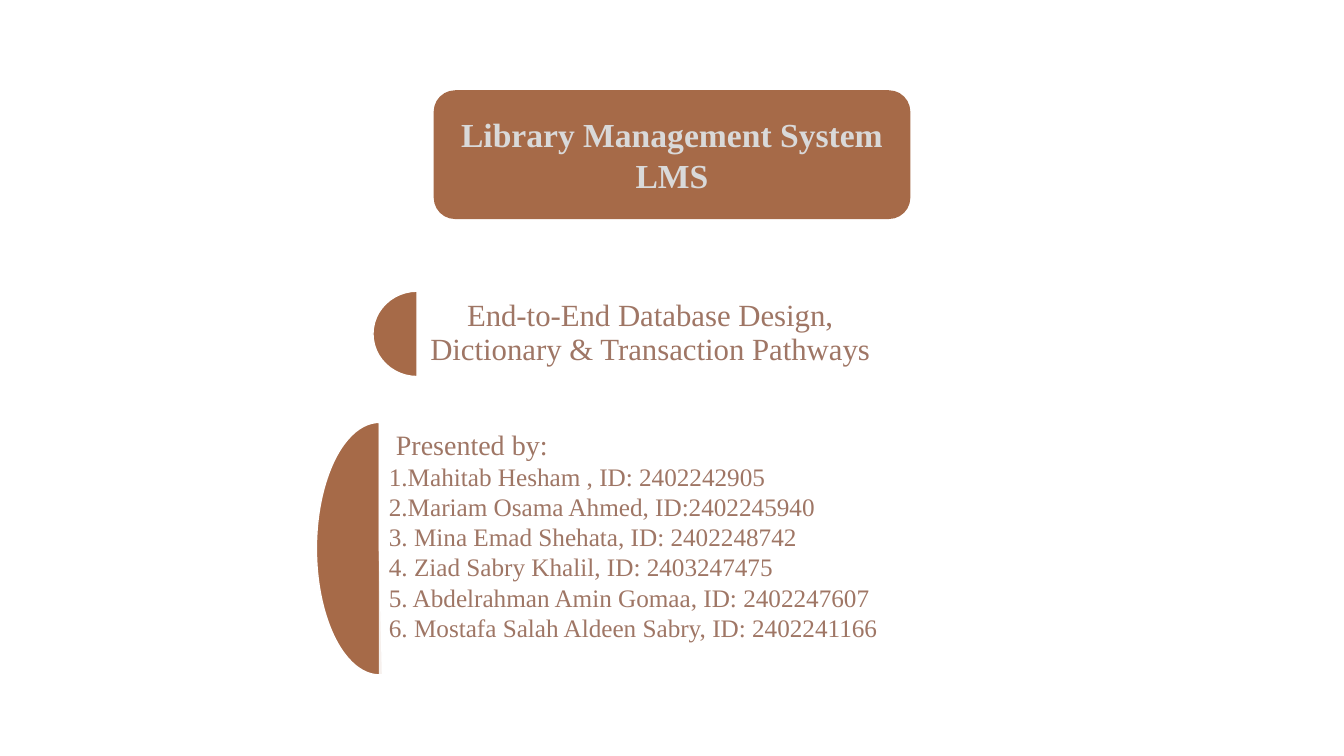
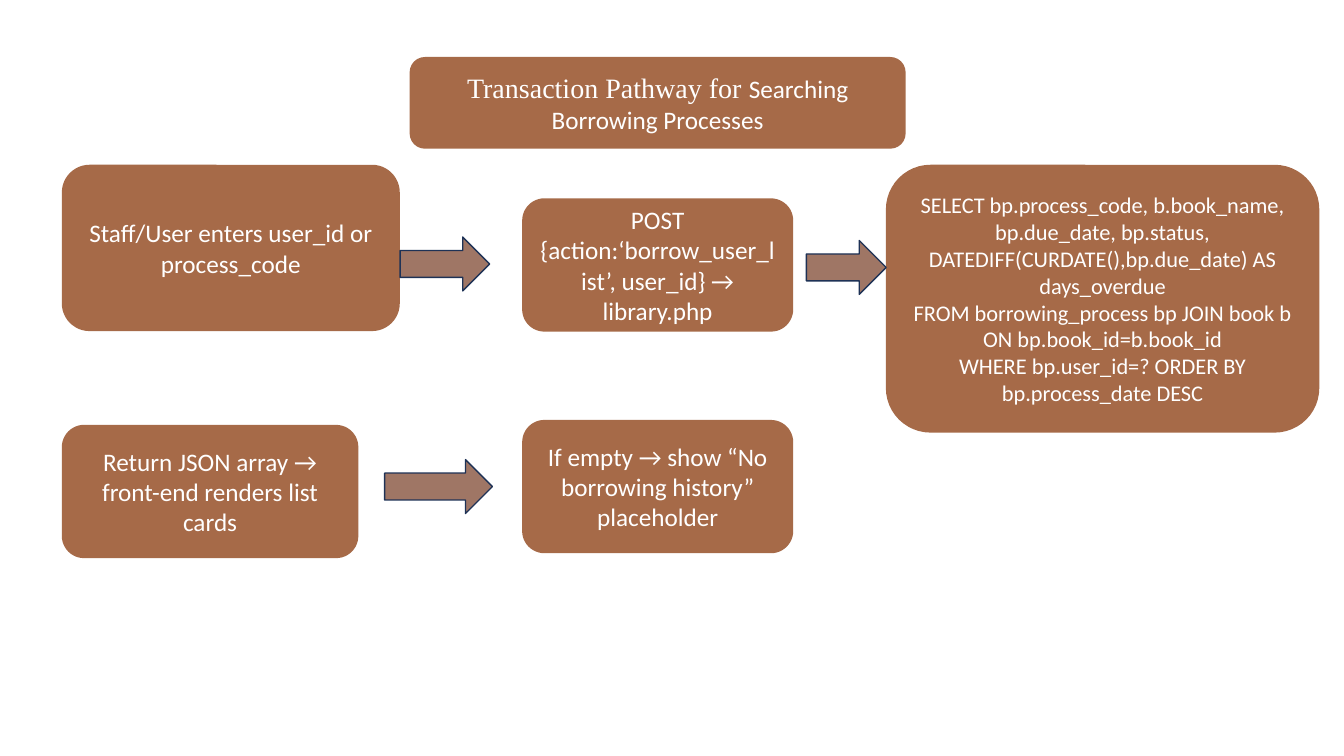
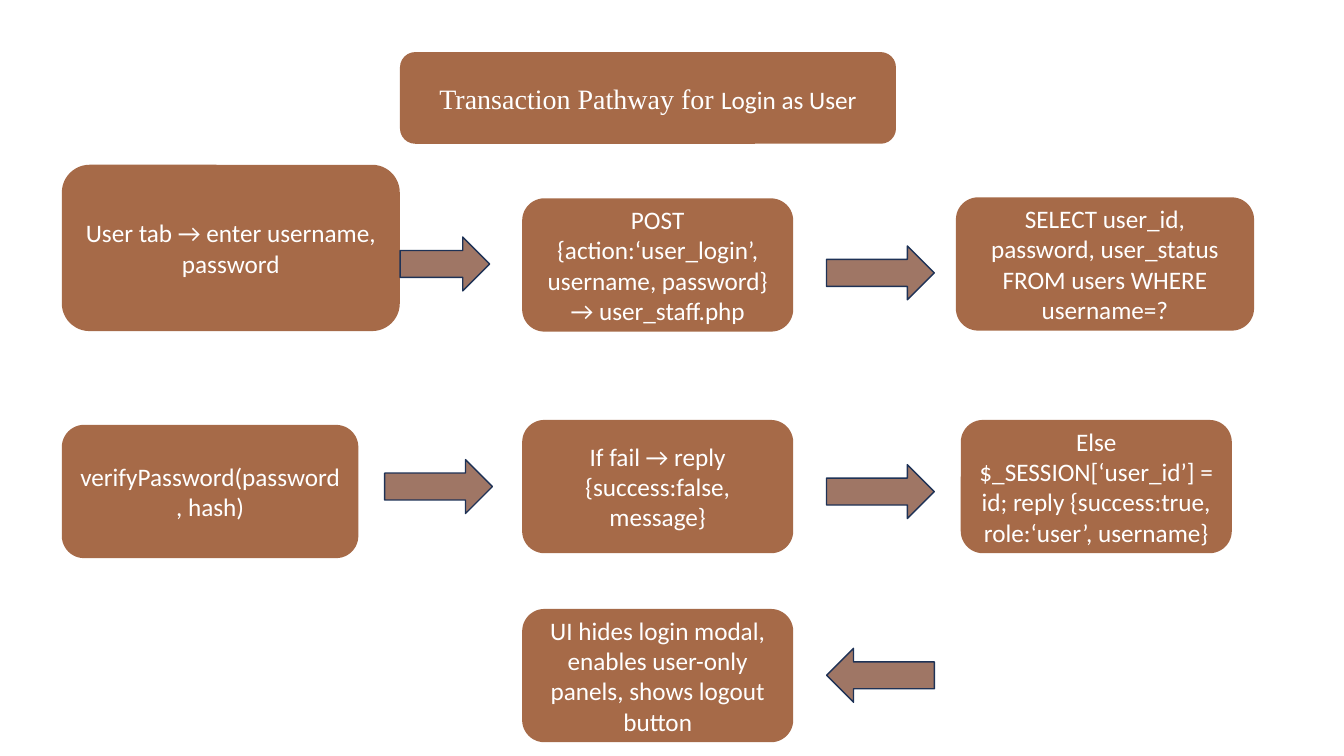
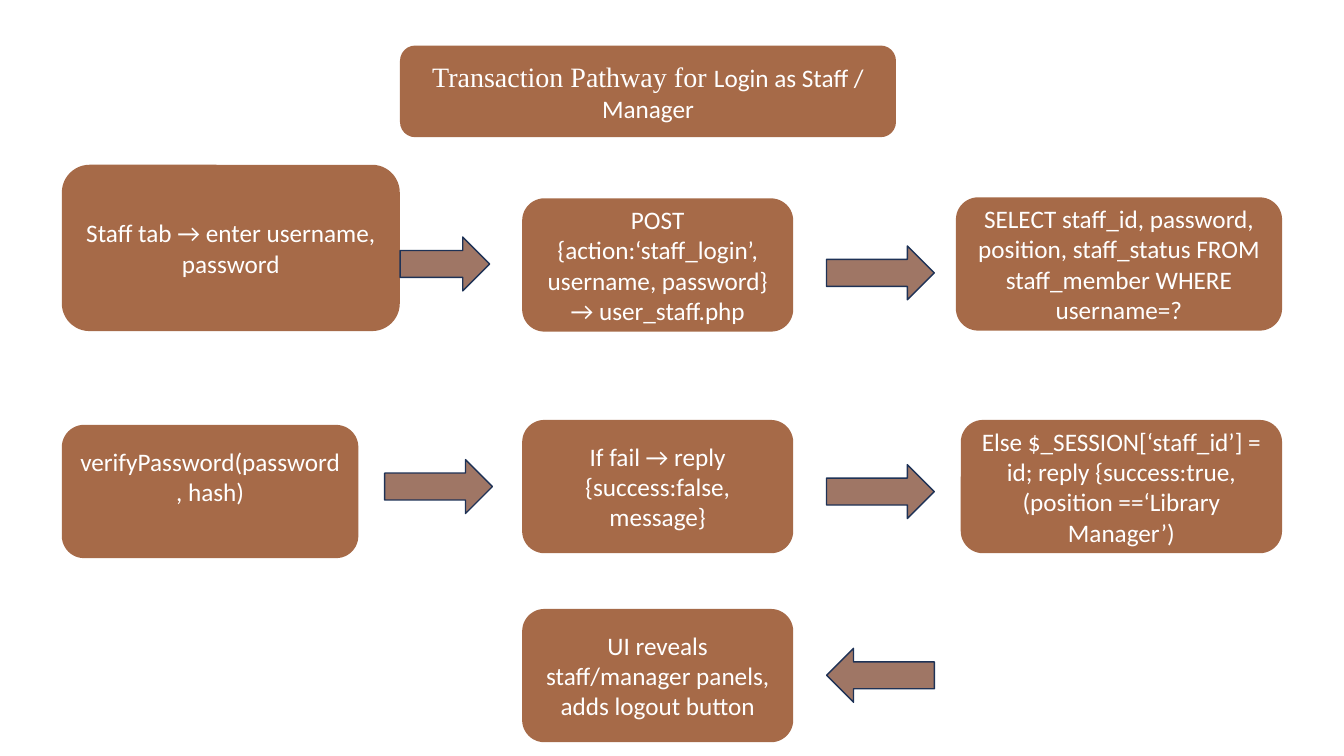
from dataclasses import dataclass

from lxml.etree import SubElement
from pptx import Presentation
from pptx.dml.color import RGBColor
from pptx.enum.shapes import MSO_SHAPE
from pptx.enum.text import MSO_ANCHOR, PP_ALIGN
from pptx.oxml.ns import qn
from pptx.util import Pt


@dataclass(frozen=True)
class Theme:
    """Colours, fonts and type sizes shared by all slides."""
    brown: RGBColor = RGBColor(0xA6, 0x6A, 0x48)
    mauve: RGBColor = RGBColor(0x9F, 0x76, 0x65)
    navy: RGBColor = RGBColor(0x1E, 0x32, 0x56)
    grey: RGBColor = RGBColor(0xD9, 0xD9, 0xD9)
    white: RGBColor = RGBColor(0xFF, 0xFF, 0xFF)
    serif: str = "Times New Roman"
    sans: str = "Calibri"
    cover: int = 24
    subtitle: int = 22
    heading: int = 20
    body: int = 18
    code: int = 16


class Deck:
    """Holds the theme and the current slide, and draws each kind of element."""

    def __init__(self, theme):
        self.t = theme
        self.prs = Presentation()
        self.prs.slide_width, self.prs.slide_height = Pt(960), Pt(540)
        self.s = None

    def new_slide(self):
        self.s = self.prs.slides.add_slide(self.prs.slide_layouts[6])

    def shape(self, kind, at, fill, line=None):
        sp = self.s.shapes.add_shape(kind, *(Pt(v) for v in at))
        sp.shadow.inherit = False
        sp.fill.solid()
        sp.fill.fore_color.rgb = fill
        if line is None:
            sp.line.fill.background()
        else:
            sp.line.color.rgb = line
            sp.line.width = Pt(1)
        return sp

    def style(self, p, size, font, color, bold=False):
        for r in p.runs:
            r.font.size, r.font.name, r.font.bold = Pt(size), font, bold
            r.font.color.rgb = color

    def label(self, sp, text, size, font, color, bold=False, align=PP_ALIGN.CENTER):
        tf = sp.text_frame
        tf.word_wrap = True
        tf.vertical_anchor = MSO_ANCHOR.MIDDLE
        tf.text = text
        for p in tf.paragraphs:
            p.alignment = align
            self.style(p, size, font, color, bold)
        return tf

    def box(self, at, text, size=None, bottom=3.6):
        sp = self.shape(MSO_SHAPE.ROUNDED_RECTANGLE, at, self.t.brown)
        tf = self.label(sp, text, size or self.t.body, self.t.sans, self.t.white)
        tf.margin_bottom = Pt(bottom)

    def title(self, x, y, topic):
        sp = self.shape(MSO_SHAPE.ROUNDED_RECTANGLE, (x, y, 354.3, 65.5), self.t.brown)
        tf = self.label(sp, "Transaction Pathway for ", self.t.heading, self.t.serif, self.t.white)
        r = tf.paragraphs[0].add_run()
        r.text = topic
        r.font.size, r.font.name = Pt(self.t.body), self.t.sans
        r.font.color.rgb = self.t.white

    def arrow(self, x, y, w=77, rotation=0):
        sp = self.shape(MSO_SHAPE.RIGHT_ARROW, (x, y, w, 38.5), self.t.mauve, self.t.navy)
        sp.rotation = rotation

    def half_disc(self, at, start=54):
        sp = self.shape(MSO_SHAPE.PIE, at, self.t.brown, self.t.white)
        sp.adjustments[0], sp.adjustments[1] = start, 162

    def panel(self, at, text, size, align):
        sp = self.shape(MSO_SHAPE.RECTANGLE, at, self.t.white)
        color = sp._element.find(".//" + qn("a:srgbClr"))
        SubElement(color, qn("a:alpha"), val="90000")
        return self.label(sp, text, size, self.t.serif, self.t.mauve, align=align)


COL1, COL2, COL3 = 44.2, 373, 682.8
ROW1, ROW2, ROW3 = 141.7, 300, 435
BOX_W, BOX_H = 193.6, 95.2
START = (COL1, 117.7, 241.4, 118.8)
REQUEST = (COL2, ROW1, BOX_W, BOX_H)
LOWER_LEFT = (COL1, 303.5, 211.8, BOX_H)
LOWER_MID = (COL2, ROW2, BOX_W, BOX_H)


def cover_slide(deck):
    """Draw the cover with its subtitle and presenters."""
    t = deck.t
    deck.new_slide()
    sp = deck.shape(MSO_SHAPE.ROUNDED_RECTANGLE, (309.8, 64.5, 340.5, 92), t.brown)
    deck.label(sp, "Library Management System\nLMS", t.cover, t.serif, t.grey, bold=True)
    deck.half_disc((266.4, 208, 63, 61))
    tf = deck.panel((298, 206.5, 332.8, 63.4),
                    "End-to-End Database Design, Dictionary & Transaction Pathways",
                    t.subtitle, PP_ALIGN.CENTER)
    tf.paragraphs[0].line_spacing = 0.9
    deck.half_disc((226, 301.7, 90, 180.4), 53.15)
    presenters = [
        " Presented by:",
        "1.Mahitab Hesham , ID: 2402242905",
        "2.Mariam Osama Ahmed, ID:2402245940",
        "3. Mina Emad Shehata, ID: 2402248742",
        "4. Ziad Sabry Khalil, ID: 2403247475",
        "5. Abdelrahman Amin Gomaa, ID: 2402247607",
        "6. Mostafa Salah Aldeen Sabry, ID: 2402241166",
    ]
    tf = deck.panel((270.7, 301.7, 364.3, 180.7), "\n".join(presenters), t.body, PP_ALIGN.LEFT)
    tf.vertical_anchor = MSO_ANCHOR.TOP
    deck.style(tf.paragraphs[0], t.heading, t.serif, t.mauve)


def pathway_slide(deck, title, start, request, lower_left, lower_mid, bottom=3.6):
    """Draw the title, boxes and arrows that every pathway has."""
    deck.new_slide()
    deck.title(*title)
    deck.box(START, start)
    deck.box(REQUEST, request)
    deck.box(LOWER_LEFT, lower_left, bottom=bottom)
    deck.box(LOWER_MID, lower_mid)
    deck.arrow(285.8, 169.3, 64)
    deck.arrow(274.8, 328.3)


def search_slide(deck):
    """Draw the pathway for searching borrowing processes."""
    pathway_slide(
        deck, (292.6, 40.7, "Searching Borrowing Processes"),
        "Staff/User enters user_id or process_code",
        "POST {action:‘borrow_user_list’, user_id} → library.php",
        "Return JSON array → front-end renders list cards",
        "If empty → show “No borrowing history” placeholder")
    query = ("SELECT bp.process_code, b.book_name, bp.due_date, bp.status, "
             "DATEDIFF(CURDATE(),bp.due_date) AS days_overdue\n"
             "FROM borrowing_process bp JOIN book b ON bp.book_id=b.book_id\n"
             "WHERE bp.user_id=? ORDER BY bp.process_date DESC")
    deck.box((632.8, 117.7, 309.6, 191.3), query, deck.t.code)
    deck.arrow(576, 171.8, 57)


def login_slide(deck, y, topic, role, query, query_w, success, success_w, result, bottom=3.6):
    """Draw the login pathway of one role."""
    pathway_slide(
        deck, (285.7, y, topic),
        f"{role.title()} tab → enter username, password",
        f"POST {{action:‘{role}_login’, username, password}} → user_staff.php",
        "verifyPassword(password, hash)",
        "If fail → reply {success:false, message}", bottom)
    deck.box((COL3, 141, query_w, BOX_H), query)
    deck.box((686.3, ROW2, success_w, BOX_H), success)
    deck.box((COL2, ROW3, BOX_W, BOX_H), result)
    for arrow_y, rotation in ((175.7, 0), (331.9, 0), (463.1, 180)):
        deck.arrow(590.4, arrow_y, rotation=rotation)


def main():
    """Build the four slides and save them."""
    deck = Deck(Theme())
    cover_slide(deck)
    search_slide(deck)
    login_slide(
        deck, 37.2, "Login as User", "user",
        "SELECT user_id, password, user_status FROM users WHERE username=?", 213,
        "Else $_SESSION[‘user_id’] = id; reply {success:true, role:‘user’, username}", BOX_W,
        "UI hides login modal, enables user-only panels, shows logout button")
    login_slide(
        deck, 32.5, "Login as Staff / Manager", "staff",
        "SELECT staff_id, password, position, staff_status FROM staff_member WHERE username=?", 233,
        "Else $_SESSION[‘staff_id’] = id; reply {success:true, (position ==‘Library Manager’)", 229.5,
        "UI reveals staff/manager panels, adds logout button", bottom=25.6)
    deck.prs.save("out.pptx")


if __name__ == "__main__":
    main()
